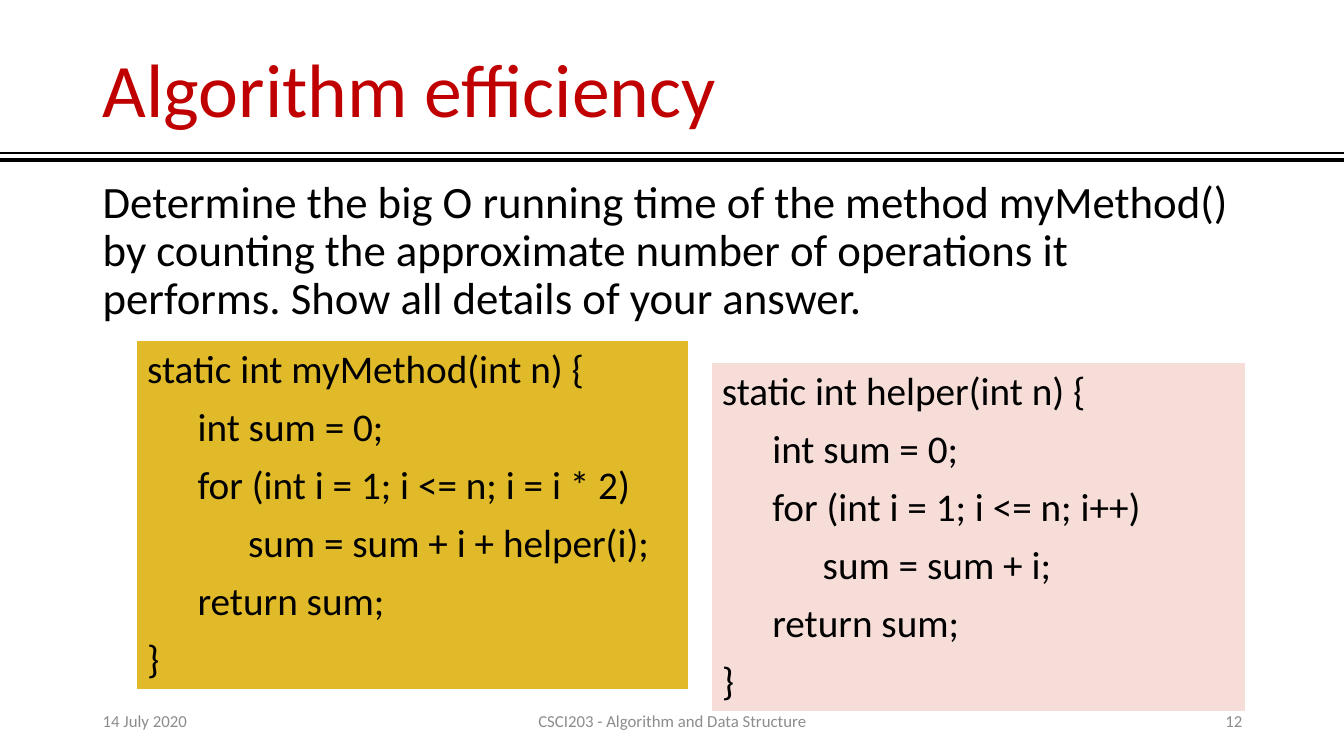
from dataclasses import dataclass

from lxml import etree
from pptx import Presentation
from pptx.dml.color import RGBColor
from pptx.enum.shapes import MSO_CONNECTOR
from pptx.enum.text import MSO_ANCHOR, MSO_AUTO_SIZE, PP_ALIGN
from pptx.oxml.ns import qn
from pptx.util import Inches, Pt

STRAIGHT = MSO_CONNECTOR.STRAIGHT
TOP, MIDDLE = MSO_ANCHOR.TOP, MSO_ANCHOR.MIDDLE
LEFT, CENTER, RIGHT = PP_ALIGN.LEFT, PP_ALIGN.CENTER, PP_ALIGN.RIGHT
NO_AUTOFIT = MSO_AUTO_SIZE.NONE


@dataclass(frozen=True)
class Theme:
    font: str = "Calibri"
    title: str = "C00000"
    ink: str = "000000"
    muted: str = "8C8C8C"
    gold: str = "E1BA29"
    pink: str = "F6DDD8"
    title_size: int = 54
    body_size: int = 32
    code_size: int = 28
    footer_size: int = 12


@dataclass(frozen=True)
class TextBlock:
    text: str
    box: tuple
    size: int
    color: str
    align: PP_ALIGN = LEFT
    anchor: MSO_ANCHOR = MIDDLE
    spacing: float = 1.0


@dataclass(frozen=True)
class CodeTable:
    left: float
    top: float
    width: float
    fill: str
    lines: tuple  # (indent level, code)


@dataclass(frozen=True)
class Rule:
    y: float
    weight: float


THEME = Theme()
SLIDE_W, SLIDE_H = 13.33, 7.5
MARGIN, CONTENT_W = 0.92, 11.5
FOOTER_Y, FOOTER_H = 6.95, 0.4
ROW_H, INDENT = 0.57, 0.5

RULES = (Rule(1.59, 3), Rule(1.52, 1))

TITLE = TextBlock("Algorithm efficiency", (MARGIN, 0.4, CONTENT_W, 1.05),
                  THEME.title_size, THEME.title, spacing=0.9)
BODY = TextBlock(
    "Determine the big O running time of the method myMethod() by counting the "
    "approximate number of operations it performs. Show all details of your answer.",
    (MARGIN, 1.73, CONTENT_W, 5.1), THEME.body_size, THEME.ink, anchor=TOP, spacing=0.9)
FOOTERS = tuple(
    TextBlock(text, (left, FOOTER_Y, width, FOOTER_H),
              THEME.footer_size, THEME.muted, align)
    for text, left, width, align in (
        ("14 July 2020", MARGIN, 3, LEFT),
        ("CSCI203 - Algorithm and Data Structure", 4.42, 4.5, CENTER),
        ("12", 9.42, 3, RIGHT),
    ))


def method_lines(name: str, loop_step: str, loop_body: str) -> tuple:
    return (
        (0, f"static int {name}(int n) {{"),
        (1, "int sum = 0;"),
        (1, f"for (int i = 1; i <= n; {loop_step})"),
        (2, loop_body),
        (1, "return sum;"),
        (0, "}"),
    )


CODE_TABLES = (
    CodeTable(1.36, 3.38, 5.46, THEME.gold,
              method_lines("myMethod", "i = i * 2", "sum = sum + i + helper(i);")),
    CodeTable(7.06, 3.6, 5.29, THEME.pink,
              method_lines("helper", "i++", "sum = sum + i;")),
)


def write(p, text: str, size: int, color: str) -> None:
    r = p.add_run()
    r.text = text
    for name, value in {"name": THEME.font, "size": Pt(size)}.items():
        setattr(r.font, name, value)
    r.font.color.rgb = RGBColor.from_string(color)


def fill_text(sp, block: TextBlock) -> None:
    for name, value in zip(("left", "top", "width", "height"), block.box):
        setattr(sp, name, Inches(value))
    tf = sp.text_frame
    frame_format = {"word_wrap": True, "auto_size": NO_AUTOFIT,
                    "vertical_anchor": block.anchor}
    for name, value in frame_format.items():
        setattr(tf, name, value)
    p = tf.paragraphs[0]
    for name, value in {"alignment": block.align, "line_spacing": block.spacing}.items():
        setattr(p, name, value)
    write(p, block.text, block.size, block.color)


def add_text(s, block: TextBlock) -> None:
    fill_text(s.shapes.add_textbox(*map(Inches, block.box)), block)


def add_rule(s, rule: Rule) -> None:
    y = Inches(rule.y)
    line = s.shapes.add_connector(STRAIGHT, 0, y, Inches(SLIDE_W), y)
    line.line.width = Pt(rule.weight)
    line.line.color.rgb = RGBColor.from_string(THEME.ink)
    etree.SubElement(line._element.spPr, qn("a:effectLst"))


def add_code_table(s, code: CodeTable) -> None:
    rows = len(code.lines)
    table = s.shapes.add_table(rows, 1, Inches(code.left), Inches(code.top),
                               Inches(code.width), Inches(ROW_H * rows)).table
    table.first_row = table.horz_banding = False
    for i, (level, text) in enumerate(code.lines):
        cell = table.cell(i, 0)
        # Borderless cell, so the rows read as one panel
        tc_pr = cell._tc.get_or_add_tcPr()
        for side in ("a:lnL", "a:lnR", "a:lnT", "a:lnB"):
            border = etree.SubElement(tc_pr, qn(side), w="0")
            etree.SubElement(border, qn("a:noFill"))
        cell.fill.solid()
        cell.fill.fore_color.rgb = RGBColor.from_string(code.fill)
        # Indented code line
        p = cell.text_frame.paragraphs[0]
        p.level = level
        p_pr = p._p.get_or_add_pPr()
        p_pr.set("marL", str(Inches(INDENT * level)))
        p_pr.set("indent", "0")
        write(p, text, THEME.code_size, THEME.ink)


def main() -> None:
    prs = Presentation()
    prs.slide_width, prs.slide_height = Inches(SLIDE_W), Inches(SLIDE_H)
    s = prs.slides.add_slide(prs.slide_layouts[5])

    # Title and double rule
    fill_text(s.shapes.title, TITLE)
    for rule in RULES:
        add_rule(s, rule)

    # Question and footer
    for block in (BODY, *FOOTERS):
        add_text(s, block)

    # Code panels
    for code in CODE_TABLES:
        add_code_table(s, code)

    prs.save("out.pptx")


if __name__ == "__main__":
    main()
